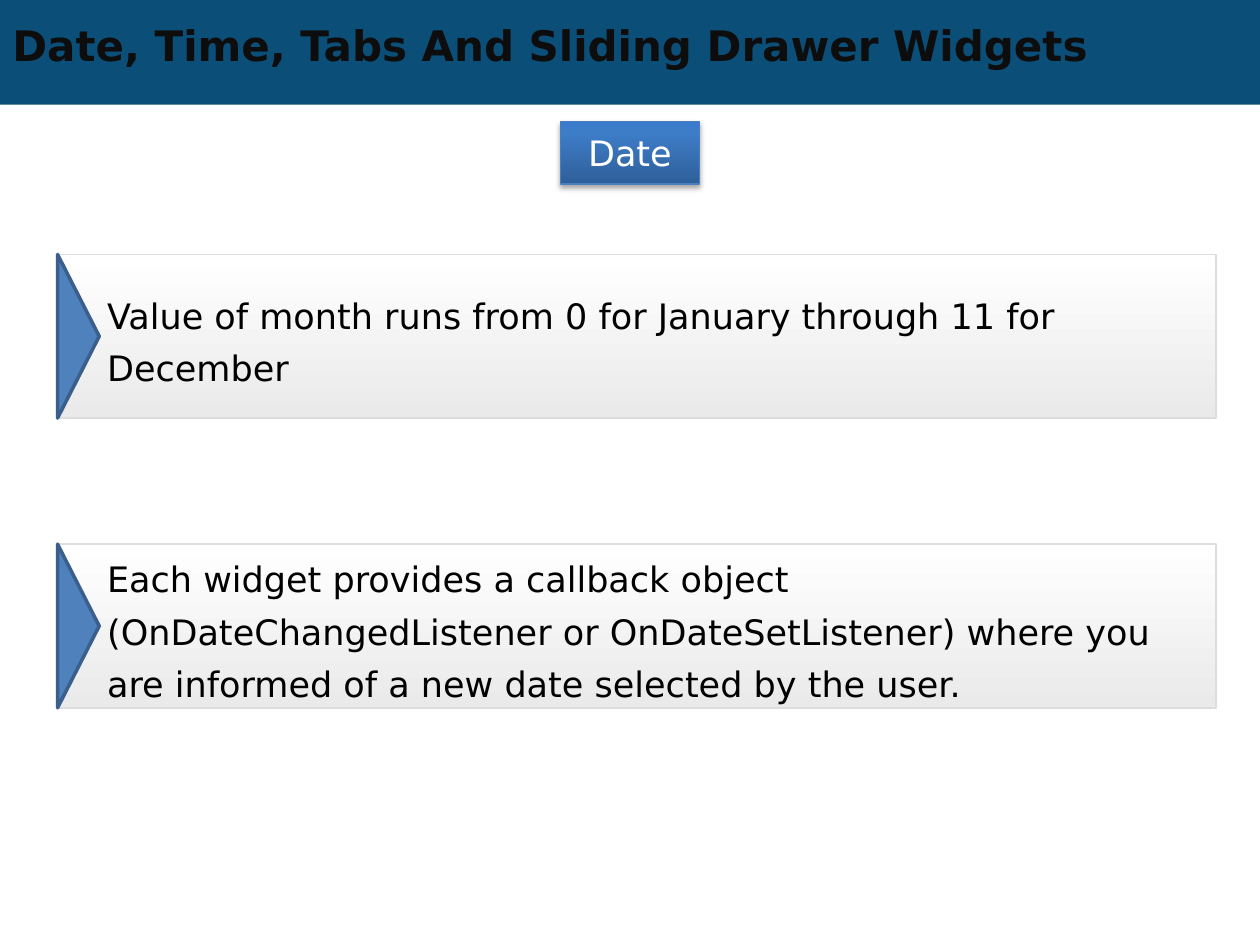
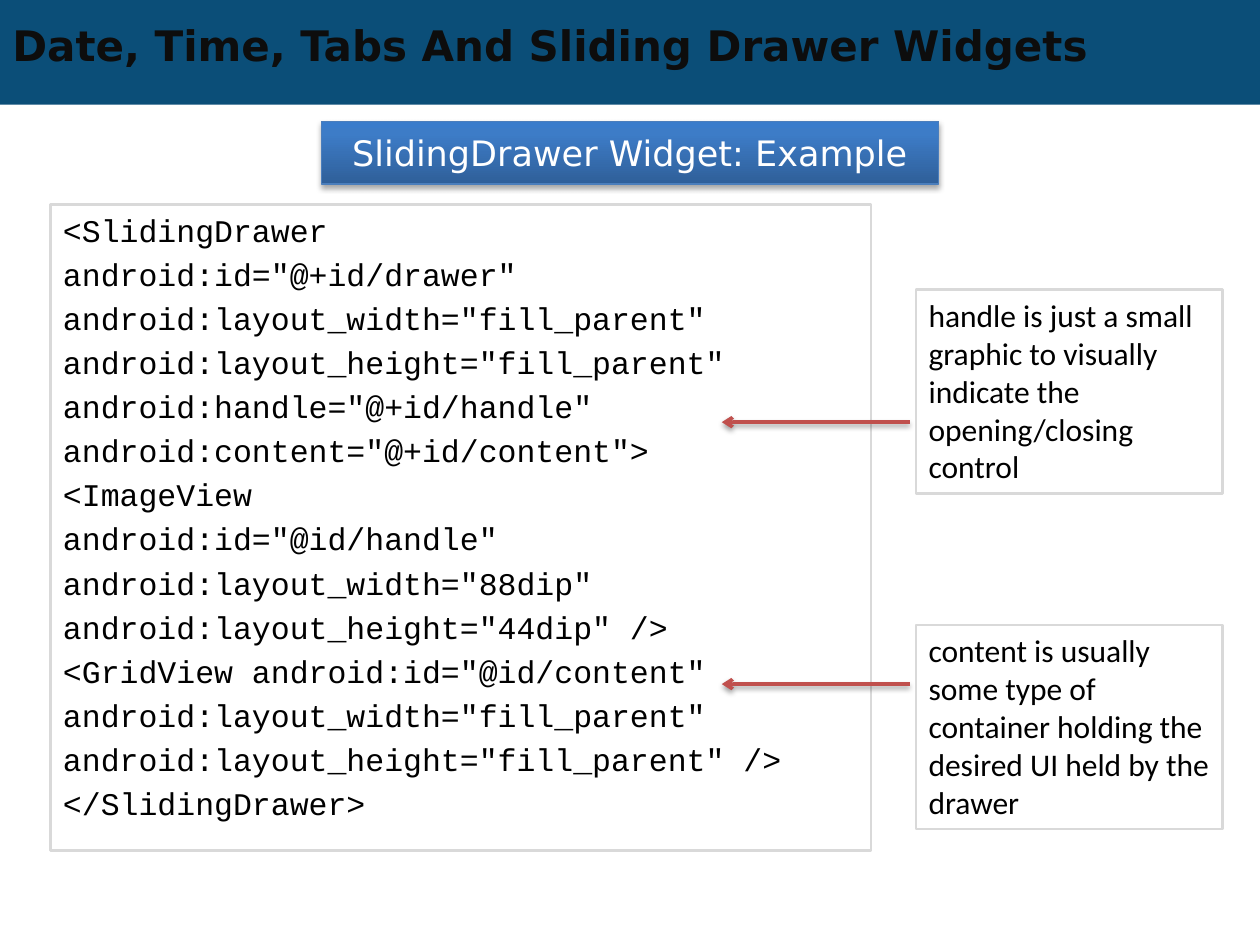
from pptx import Presentation, util as u
from pptx.dml.color import RGBColor
from pptx.enum import shapes, text
from pptx.oxml import parse_xml
from pptx.oxml.ns import nsdecls

Cm, Pt = u.Cm, u.Pt
RECT = shapes.MSO_SHAPE.RECTANGLE
HUES = {
    "band": "0B4E78", "title": "0D0D0D", "ink": "000000", "white": "FFFFFF",
    "tag": "4B7EBC", "panel": "DDDDDD", "frame": "D9D9D9",
    "mark": "4F81BD", "edge": "3A5F8C", "arrow": "C0504D",
}
# Gradients: angle in degrees, then the stops as (percent, colour)
BLUE = (270, [(0, "2F5F99"), (80, "3D7CC7"), (100, "3A7CCB")])
GREY = (90, [(0, "FFFFFF"), (100, "EAEAEA")])
SHADE = (f'<a:effectLst {nsdecls("a")}><a:outerShdw blurRad="39400" dist="%d" '
         'dir="5400000" rotWithShape="0"><a:srgbClr val="000000">'
         '<a:alpha val="%d"/></a:srgbClr></a:outerShdw></a:effectLst>')
TITLE = "Date, Time, Tabs And Sliding Drawer Widgets"
SANS = "DejaVu Sans"
WIDE = 25.4


def write(shape, words, font=SANS, size=20, hue="ink", bold=False, align="LEFT",
          anchor="MIDDLE", pad=(0.25, 0.13, 0.25, 0.13), line=None, gap=0):
    """Fill a shape with text, one paragraph a line; pad is left, top, right, bottom."""
    frame = shape.text_frame
    frame.word_wrap = True
    frame.auto_size = text.MSO_AUTO_SIZE.NONE
    frame.vertical_anchor = text.MSO_ANCHOR[anchor]
    frame.margin_left, frame.margin_top, frame.margin_right, frame.margin_bottom = map(Cm, pad)
    frame.text = words
    for i, para in enumerate(frame.paragraphs):
        para.alignment = text.PP_ALIGN[align]
        para.space_before = Pt(gap if i else 0)
        if line:
            para.line_spacing = Pt(line)
        para.font.name, para.font.size, para.font.bold = font, Pt(size), bold
        para.font.color.rgb = RGBColor.from_string(HUES[hue])


def draw(slide, kind, at, fill=None, grad=None, edge=None, width=1):
    """Add a preset shape with a plain, gradient or empty fill and no shadow."""
    shape = slide.shapes.add_shape(kind, *map(Cm, at))
    shape.shadow.inherit = False
    if grad:
        angle, stops = grad
        marks = "".join(f'<a:gs pos="{pos * 1000}"><a:srgbClr val="{hue}"/></a:gs>'
                        for pos, hue in stops)
        shape._element.spPr.prstGeom.addnext(parse_xml(
            f'<a:gradFill {nsdecls("a")} rotWithShape="1"><a:gsLst>{marks}</a:gsLst>'
            f'<a:lin ang="{angle * 60000}" scaled="0"/></a:gradFill>'))
    elif fill:
        shape.fill.solid()
        shape.fill.fore_color.rgb = RGBColor.from_string(HUES[fill])
    else:
        shape.fill.background()
    if edge:
        shape.line.color.rgb = RGBColor.from_string(HUES[edge])
        shape.line.width = Pt(width)
    else:
        shape.line.fill.background()
    return shape


deck = Presentation()
deck.slide_width, deck.slide_height = Cm(WIDE), Cm(19.05)
plan = deck.slide_layouts[5]

# Shared title and heading tag
pages = []
for head, wide in [("Date", 2.8), ("SlidingDrawer Widget: Example", 12.45)]:
    page = deck.slides.add_slide(plan)
    name = page.shapes.title
    name.left, name.top, name.width, name.height = map(Cm, (0, 0.36, 22.86, 1.09))
    write(name, TITLE, size=24, hue="title", bold=True)
    tag = draw(page, RECT, ((WIDE - wide) / 2, 2.45, wide, 1.26),
               grad=BLUE, edge="tag", width=0.75)
    tag.shadow.inherit = True
    tag._element.spPr.append(parse_xml(SHADE % (23000, 35000)))
    write(tag, head, hue="white", align="CENTER")
    pages.append(page)
first, second = pages

# The top band belongs to the layout, behind everything
band = draw(first, RECT, (0, 0, WIDE, 2.11), fill="band")
plan.shapes._spTree.insert(2, band._element)

# Slide 1: two panels, each with a triangle pointing right
facts = [
    "Value of month runs from 0 for January through 11 for December",
    "Each widget provides a callback object (OnDateChangedListener or "
    "OnDateSetListener) where you are informed of a new date selected by the user.",
]
left, tall, deep = 1.16, 3.3, 0.84
for i, fact in enumerate(facts):
    top = 5.13 + i * 5.84
    panel = draw(first, RECT, (left, top, 23.36, tall), grad=GREY, edge="panel")
    write(panel, fact, pad=(1, 0, 0.25, 0), line=30)
    mark = draw(first, shapes.MSO_SHAPE.ISOSCELES_TRIANGLE,
                (left + (deep - tall) / 2, top + (tall - deep) / 2, tall, deep),
                fill="mark", edge="edge", width=2)
    mark.rotation = 90

# Slide 2: code listing
code = """<SlidingDrawer
android:id="@+id/drawer"
android:layout_width="fill_parent"
android:layout_height="fill_parent"
android:handle="@+id/handle"
android:content="@+id/content">
<ImageView
android:id="@id/handle"
android:layout_width="88dip"
android:layout_height="44dip" />
<GridView android:id="@id/content"
android:layout_width="fill_parent"
android:layout_height="fill_parent" />
</SlidingDrawer>"""
pane = draw(second, RECT, (1.02, 4.12, 16.54, 13.03), edge="frame", width=1.5)
write(pane, code, font="Courier New", size=18, anchor="TOP", gap=3.6)

# Slide 2: notes with arrows to the code
notes = [
    (5.84, 8.51, "handle is just a small graphic to visually indicate the "
                 "opening/closing control"),
    (12.6, 13.79, "content is usually some type of container holding the "
                  "desired UI held by the drawer"),
]
for top, row, note in notes:
    box = draw(second, RECT, (18.47, top, 6.17, 4.11), edge="frame", width=1.5)
    write(box, note, font="Calibri", size=18, anchor="TOP")
    arrow = second.shapes.add_connector(shapes.MSO_CONNECTOR.STRAIGHT,
                                        *map(Cm, (18.34, row, 14.55, row)))
    arrow.line.color.rgb = RGBColor.from_string(HUES["arrow"])
    arrow.line.width = Pt(2)
    arrow.line._ln.append(parse_xml(f'<a:tailEnd {nsdecls("a")} type="arrow"/>'))
    arrow._element.spPr.append(parse_xml(SHADE % (20000, 38000)))

deck.save("out.pptx")
